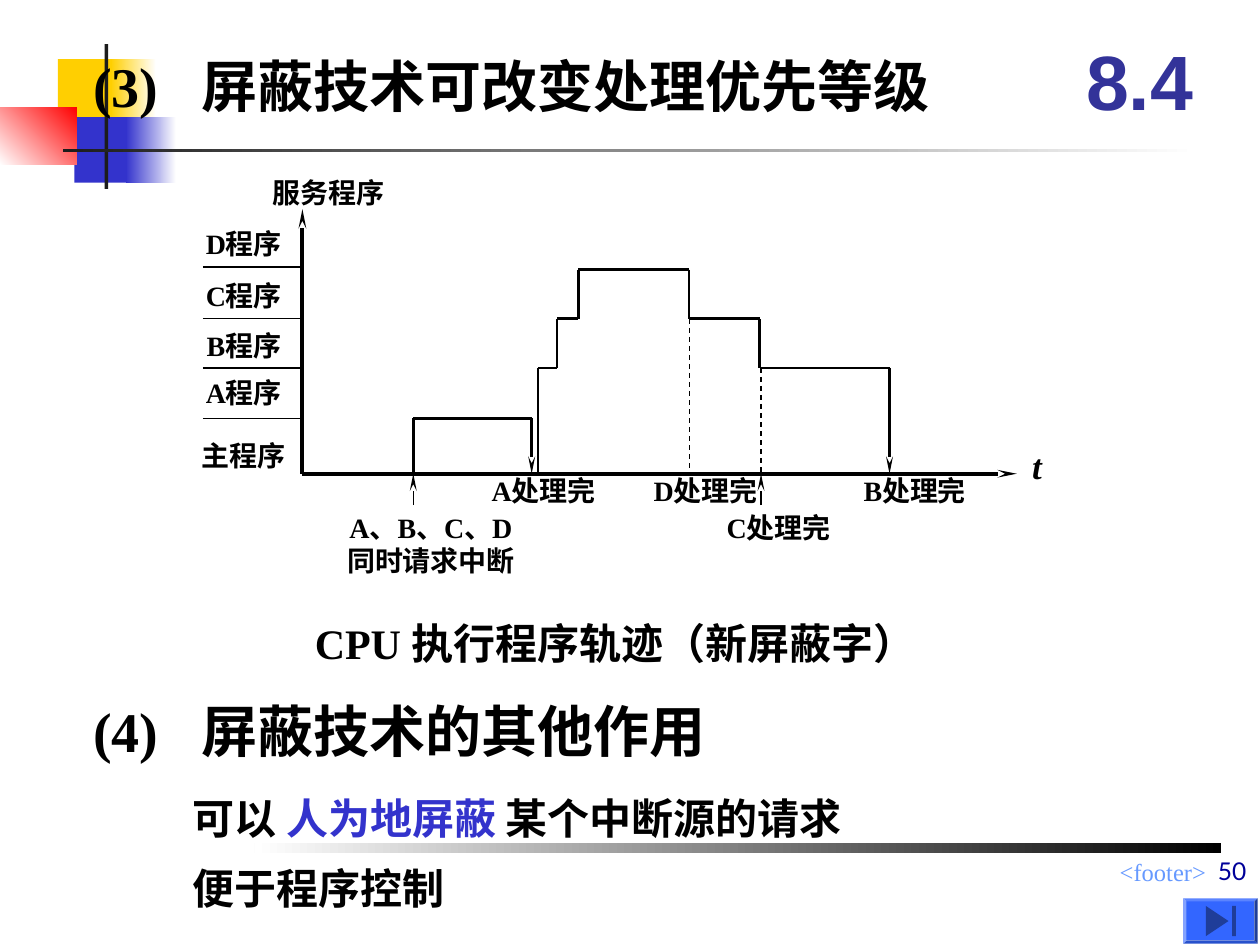
from itertools import pairwise
from lxml.etree import SubElement as Sub
from pptx import Presentation
from pptx.dml.color import RGBColor as RGB
from pptx.enum.dml import MSO_LINE as Dash
from pptx.enum.shapes import MSO_CONNECTOR as Conn, MSO_SHAPE as Kind
from pptx.enum.text import MSO_ANCHOR as Anchor, PP_ALIGN as Align
from pptx.oxml.ns import qn
from pptx.util import Inches, Pt

BLACK = RGB(0, 0, 0)
WHITE = RGB(255, 255, 255)
DARK = RGB(0x1C, 0x1C, 0x1C)
GOLD = RGB(0xFF, 0xCF, 0x01)
BLUE = RGB(0x33, 0x33, 0xCC)
RED = RGB(255, 0, 0)
INDIGO = RGB(0x33, 0x33, 0x99)
NAVY = RGB(0, 0, 0x99)
SKY = RGB(0x66, 0x99, 0xFF)
BUTTON = RGB(0x33, 0x66, 0xFF)
ICON = RGB(0x1F, 0x3D, 0x99)
INSET = (0.1, 0.05, 0.1, 0.05)
FLAT = (0, 0, 0, 0)


class Board:
    font = "Times New Roman"

    def __init__(self, slide):
        self.shapes = slide.shapes

    def block(self, box, fill, end=None, angle=180, kind=Kind.RECTANGLE):
        shape = self.shapes.add_shape(kind, *map(Inches, box))
        shape.shadow.inherit = False
        shape.line.fill.background()
        if end is None:
            shape.fill.solid()
            shape.fill.fore_color.rgb = fill
        else:
            shape.fill.gradient()
            shape.fill.gradient_angle = angle
            for stop, color in zip(shape.fill.gradient_stops, (fill, end)):
                stop.color.rgb = color
        return shape

    def text(self, box, lines, size=16, color=BLACK, align=Align.CENTER,
             inset=FLAT, anchor=Anchor.TOP, bold=True, italic=False, font=None):
        frame = self.shapes.add_textbox(*map(Inches, box)).text_frame
        frame.word_wrap = True
        frame.vertical_anchor = anchor
        (frame.margin_left, frame.margin_top,
         frame.margin_right, frame.margin_bottom) = map(Inches, inset)
        frame.text = lines
        for para in frame.paragraphs:
            para.alignment = align
            para.font.name = font or self.font
            para.font.size = Pt(size)
            para.font.bold = bold
            para.font.italic = italic
            para.font.color.rgb = color
        return frame.paragraphs[0]

    def head(self, top, text):
        para = self.text((0.74, top, 7.57, 0.47), text, 32,
                         align=Align.LEFT, anchor=Anchor.MIDDLE)
        props = para._p.get_or_add_pPr()
        props.set("marL", str(Inches(0.86)))
        props.set("indent", str(-Inches(0.86)))

    def line(self, start, end, width=0.75, arrow=False, dash=False):
        link = self.shapes.add_connector(
            Conn.STRAIGHT, *map(Inches, (*start, *end)))
        link.line.color.rgb = BLACK
        link.line.width = Pt(width)
        if dash:
            link.line.dash_style = Dash.DASH
        props = link._element.spPr
        if arrow:
            Sub(props.find(qn("a:ln")), qn("a:tailEnd"),
                type="stealth", w="sm", len="lg")
        Sub(props, qn("a:effectLst"))

    def trace(self, points):
        for start, end in pairwise(points):
            self.line(start, end, 1.5, arrow=end == points[-1])


def main():
    deck = Presentation()
    deck.slide_width, deck.slide_height = Inches(10), Inches(7.5)
    board = Board(deck.slides.add_slide(deck.slide_layouts[6]))

    board.block((0.46, 0.47, 0.48, 0.52), GOLD)
    board.block((0.88, 0.47, 0.36, 0.52), WHITE, GOLD)
    board.block((0.59, 0.93, 0.46, 0.52), BLUE)
    board.block((1, 0.93, 0.4, 0.52), WHITE, BLUE)
    board.block((0, 0.85, 0.61, 0.46), RED, WHITE, 225)
    board.block((0.83, 0.35, 0.03, 1.15), DARK)
    board.block((0.5, 1.18, 9, 0.03), WHITE, DARK)
    board.block((2.02, 6.69, 7.67, 0.08), BLACK, WHITE)
    board.text((3.92, 6.75, 5.75, 0.26), "<footer>", 14, SKY,
               Align.RIGHT, INSET, bold=False)

    board.head(0.44, "(3)\t屏蔽技术可改变处理优先等级")
    board.head(5.56, "(4)\t屏蔽技术的其他作用")
    board.text((8.42, 0.17, 1.25, 0.92), "8.4", 44, INDIGO,
               inset=INSET, anchor=Anchor.MIDDLE, font="Arial")

    edge = (0, 0.05, 0.1, 0.05)
    board.text((1.53, 6.8, 4.4, 0.5), "便于程序控制", 24,
               align=Align.LEFT, inset=edge)
    para = board.text((1.53, 6.24, 6.9, 0.5), "可以 ", 24,
                      align=Align.LEFT, inset=edge)
    for part, color in (("人为地屏蔽 ", BLUE), ("某个中断源的请求", BLACK)):
        run = para.add_run()
        run.text = part
        run.font.color.rgb = color

    base, low, mid, high, top = 3.76, 3.32, 2.92, 2.53, 2.14
    board.text((2.02, 1.39, 1.17, 0.39), "服务程序")
    for name, y in (("D程序", 1.8), ("C程序", 2.21), ("B程序", 2.61),
                    ("A程序", 2.98), ("主程序", 3.48)):
        board.text((1.53, y, 0.81, 0.36), name)
    for name, x, y, width in (("A处理完", 3.79, 3.76, 1.05),
                              ("D处理完", 5.1, 3.76, 1),
                              ("C处理完", 5.7, 4.05, 0.96),
                              ("B处理完", 6.69, 3.76, 1.14)):
        board.text((x, y, width, 0.38), name)
    board.text((2.63, 4.05, 1.58, 0.56), "A、B、C、D\n同时请求中断")
    board.text((8, 3.53, 0.46, 0.36), "t", 20, italic=True)

    board.line((2.4, base), (8.07, base), 2.25, arrow=True)
    board.line((2.4, base), (2.4, 1.66), 2.25, arrow=True)
    for y in (low, mid, high, 2.12):
        board.line((1.61, y), (2.39, y))
    board.trace([(3.28, base), (3.28, low), (4.22, low), (4.22, base)])
    board.trace([(4.27, base), (4.27, mid), (4.42, mid), (4.42, high),
                 (4.59, high), (4.59, top), (5.47, top), (5.47, high),
                 (6.03, high), (6.03, mid), (7.06, mid), (7.06, base)])
    for x in (3.28, 6.04):
        board.line((x, 4.01), (x, base), arrow=True)
    for x, y in ((5.47, high), (6.04, mid)):
        board.line((x, y), (x, base), dash=True)

    para = board.text((2.4, 4.85, 5.67, 0.5), "CPU 执行程序轨迹（新屏蔽字）", 24,
                      align=Align.LEFT, inset=INSET)
    para.space_before = Pt(15)

    key = board.block((9.39, 7.13, 0.59, 0.36), BUTTON, kind=Kind.BEVEL)
    key.adjustments[0] = 0.07
    arrow = board.block((9.54, 7.22, 0.24, 0.18), ICON,
                        kind=Kind.ISOSCELES_TRIANGLE)
    arrow.rotation = 90
    board.block((9.78, 7.19, 0.03, 0.24), ICON)
    board.text((5.21, 6.58, 4.78, 0.5), "50", 14, NAVY, Align.RIGHT, INSET,
               Anchor.BOTTOM, bold=False, font="Lato")

    deck.save("out.pptx")


if __name__ == "__main__":
    main()
